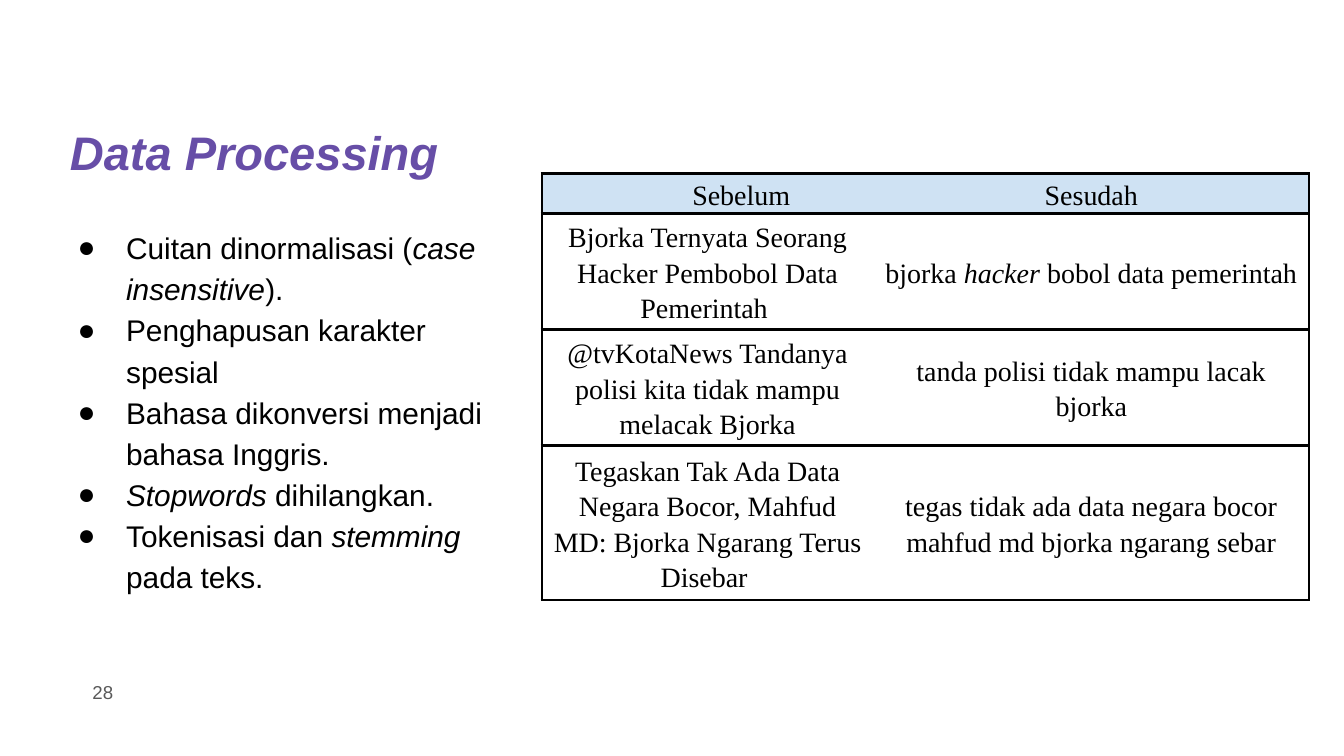
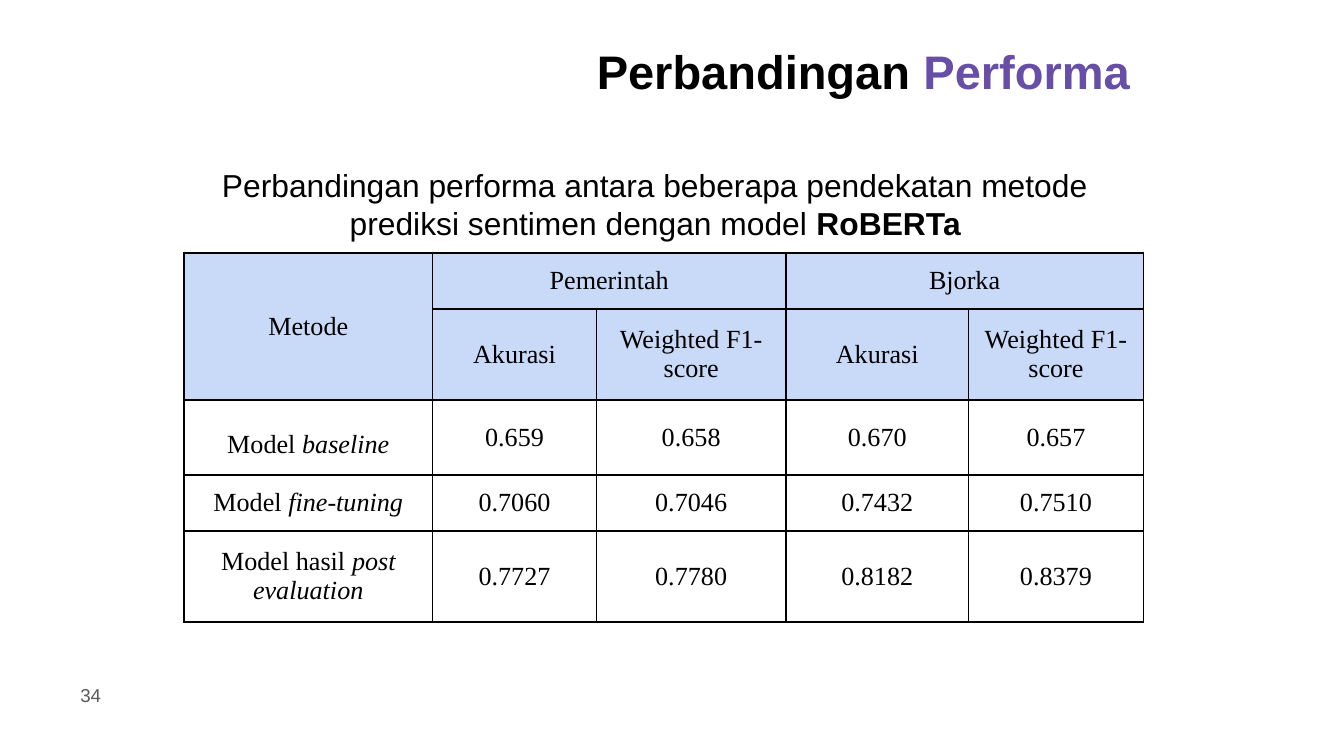
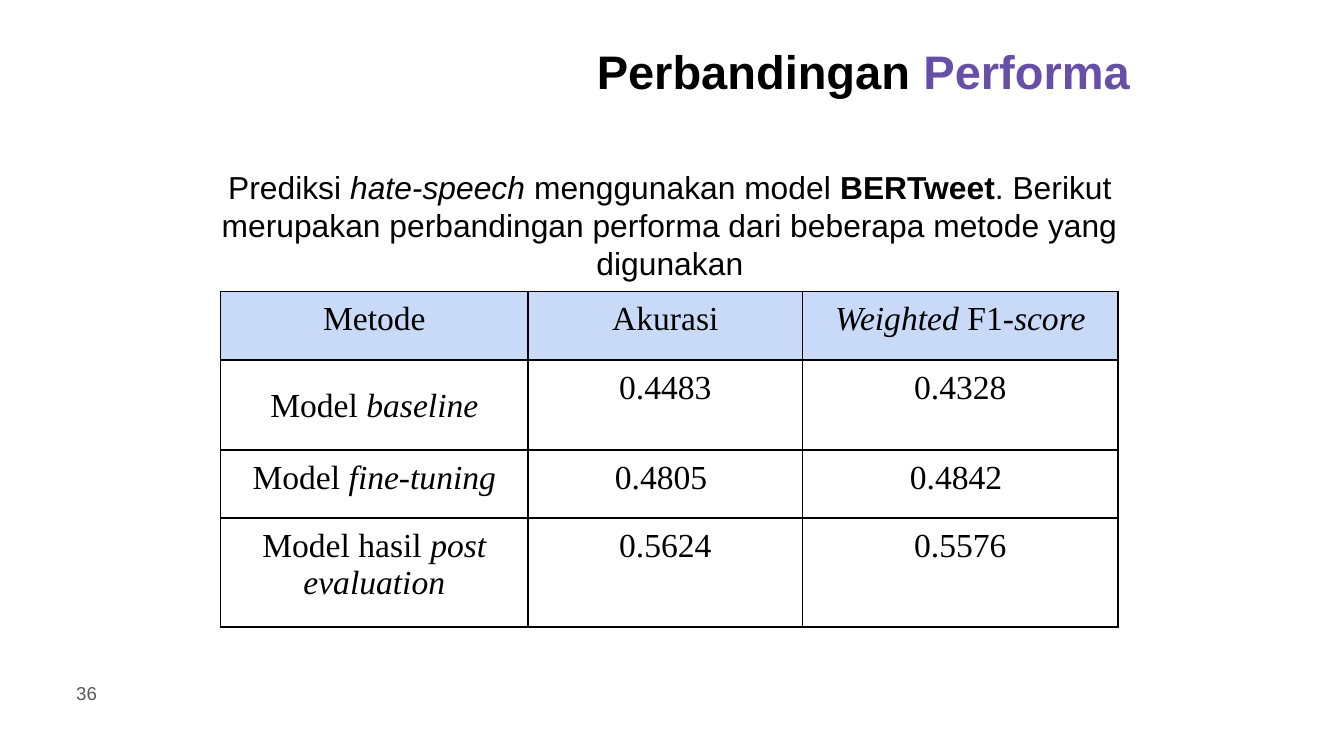
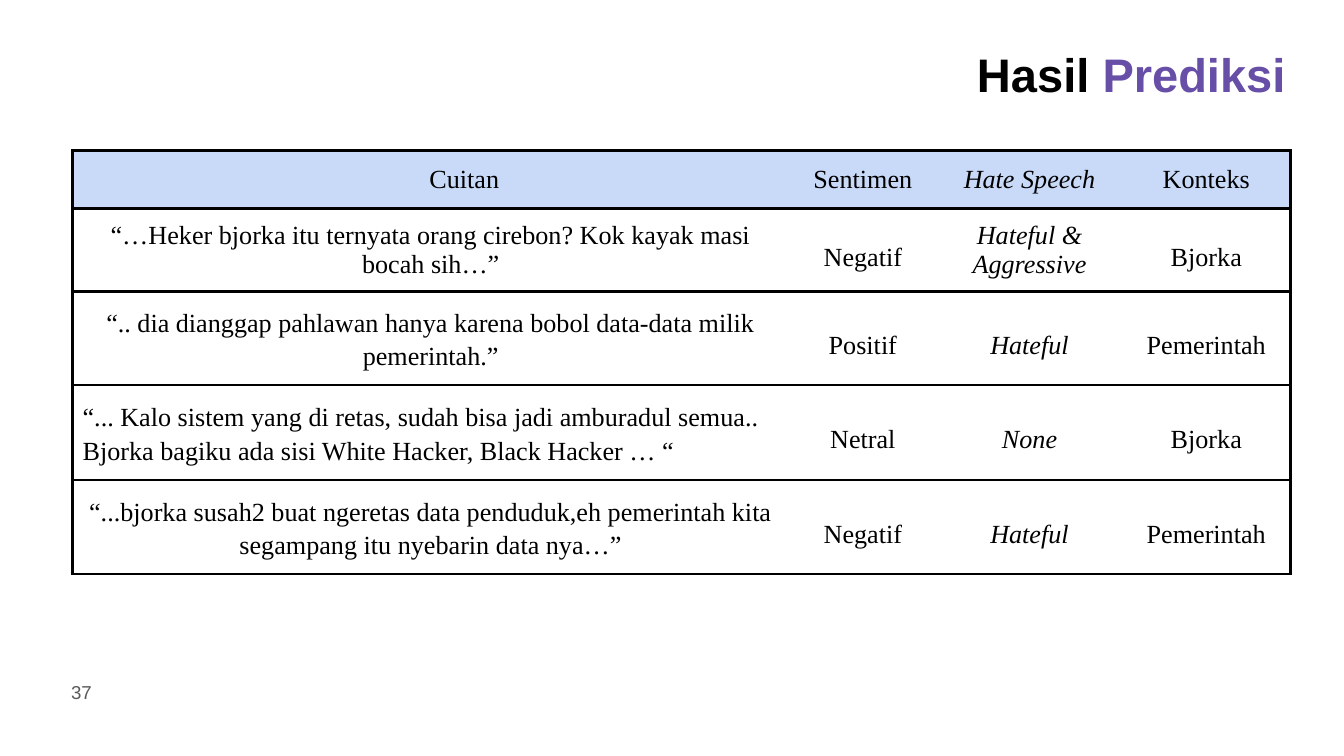
import pptx
import pptx.util
import pptx.dml.color
import pptx.enum.text
import pptx.oxml.ns
from lxml import etree

Pt = pptx.util.Pt
RGBColor = pptx.dml.color.RGBColor
ALIGN = pptx.enum.text.PP_ALIGN
ANCHOR = pptx.enum.text.MSO_ANCHOR
AUTO_SIZE = pptx.enum.text.MSO_AUTO_SIZE
qn = pptx.oxml.ns.qn

BLACK = RGBColor(0, 0, 0)
PURPLE = RGBColor(0x67, 0x4E, 0xA7)
GREY = RGBColor(0x59, 0x59, 0x59)
HEADER_BLUE = RGBColor(0xC9, 0xDA, 0xF8)
PALE_BLUE = RGBColor(0xCF, 0xE2, 0xF3)

SANS = "Arial"
SERIF = "Times New Roman"
TITLE_SIZE = 25.2


def italic(text):
    return text, {"italic": True}


def bold(text):
    return text, {"bold": True}


def write(p, content, size, name, color=BLACK, align=ALIGN.CENTER):
    p.alignment = align
    pieces = content if isinstance(content, list) else [content]
    for piece in pieces:
        text, style = piece if isinstance(piece, tuple) else (piece, {})
        r = p.add_run()
        r.text = text
        r.font.size = Pt(size)
        r.font.name = name
        r.font.bold = style.get("bold", False)
        r.font.italic = style.get("italic", False)
        r.font.color.rgb = style.get("color", color)


def set_margins(tf, margin):
    tf.margin_left = tf.margin_right = Pt(margin)
    tf.margin_top = tf.margin_bottom = Pt(margin)


def add_titled_slide(prs, left, top, width, content):
    s = prs.slides.add_slide(prs.slide_layouts[5])
    sp = s.shapes.title
    sp.left, sp.top, sp.width, sp.height = Pt(left), Pt(top), Pt(width), Pt(45.4)
    tf = sp.text_frame
    tf.word_wrap = True
    tf.auto_size = AUTO_SIZE.NONE
    tf.vertical_anchor = ANCHOR.TOP
    set_margins(tf, 7.2)
    write(tf.paragraphs[0], content, TITLE_SIZE, SANS, align=ALIGN.LEFT)
    return s


def add_text_box(s, left, top, width, height):
    tf = s.shapes.add_textbox(Pt(left), Pt(top), Pt(width), Pt(height)).text_frame
    tf.word_wrap = True
    set_margins(tf, 7.2)
    return tf


def add_page_number(s, left, top, number):
    tf = add_text_box(s, left, top, 43.2, 31)
    tf.vertical_anchor = ANCHOR.MIDDLE
    write(tf.paragraphs[0], number, 10, SANS, GREY, ALIGN.RIGHT)


def add_intro(s, left, top, content):
    tf = add_text_box(s, left, top, 527.8, 76.3)
    p = tf.paragraphs[0]
    p.space_after = Pt(10)
    write(p, content, 17, SANS)


def add_bullets(s, left, top, width, height, items):
    tf = add_text_box(s, left, top, width, height)
    for i, item in enumerate(items):
        p = tf.add_paragraph() if i else tf.paragraphs[0]
        p.line_spacing = 1.15
        pPr = p._p.get_or_add_pPr()
        pPr.set("marL", str(Pt(36)))
        pPr.set("indent", str(Pt(-26)))
        clr = etree.SubElement(pPr, qn("a:buClr"))
        etree.SubElement(clr, qn("a:srgbClr"), val=str(BLACK))
        etree.SubElement(pPr, qn("a:buFont"), typeface=SANS)
        etree.SubElement(pPr, qn("a:buChar"), char="●")
        write(p, item, 16, SANS, align=ALIGN.LEFT)


def set_borders(cell, widths):
    tcPr = cell._tc.get_or_add_tcPr()
    for side, width in widths.items():
        ln = etree.SubElement(tcPr, qn("a:ln" + side), w=str(Pt(width)))
        if width:
            fill = etree.SubElement(ln, qn("a:solidFill"))
            etree.SubElement(fill, qn("a:srgbClr"), val=str(BLACK))
        else:
            etree.SubElement(ln, qn("a:noFill"))


def add_table(s, left, top, widths, heights, rows, size, header_fill, line,
              header_rows=1, merges=(), inner_lines=True, pad=(5, 5),
              anchor=ANCHOR.MIDDLE):
    n_rows, n_cols = len(heights), len(widths)
    tbl = s.shapes.add_table(n_rows, n_cols, Pt(left), Pt(top),
                             Pt(sum(widths)), Pt(sum(heights))).table
    tbl.first_row = tbl.horz_banding = False
    for col, width in zip(tbl.columns, widths):
        col.width = Pt(width)
    for row, height in zip(tbl.rows, heights):
        row.height = Pt(height)
    for i, row in enumerate(rows):
        for j, content in enumerate(row):
            cell = tbl.cell(i, j)
            set_borders(cell, {
                "L": line if inner_lines or j == 0 else 0,
                "R": line if inner_lines or j == n_cols - 1 else 0,
                "T": line,
                "B": line,
            })
            if i < header_rows:
                cell.fill.solid()
                cell.fill.fore_color.rgb = header_fill
            else:
                cell.fill.background()
            cell.margin_left = cell.margin_right = Pt(pad[0])
            cell.margin_top = cell.margin_bottom = Pt(pad[1])
            cell.vertical_anchor = anchor
            if content:
                write(cell.text_frame.paragraphs[0], content, size, SERIF)
    for r1, c1, r2, c2 in merges:
        tbl.cell(r1, c1).merge(tbl.cell(r2, c2))
    return tbl


def cell_paragraph(tbl, i, j):
    return tbl.cell(i, j).text_frame.paragraphs[0]


def indent_first_line(tbl, i, j):
    pPr = cell_paragraph(tbl, i, j)._p.get_or_add_pPr()
    pPr.set("marL", "0")
    pPr.set("indent", str(Pt(36)))


def build_processing(prs):
    s = add_titled_slide(prs, 30.2, 59, 671, [
        ("Data Processing", {"bold": True, "italic": True, "color": PURPLE})])
    add_bullets(s, 24.5, 113, 242, 212.4, [
        ["Cuitan dinormalisasi (", italic("case insensitive"), ")."],
        "Penghapusan karakter spesial",
        "Bahasa dikonversi menjadi bahasa Inggris.",
        [italic("Stopwords"), " dihilangkan."],
        ["Tokenisasi dan ", italic("stemming "), "pada teks."],
    ])
    rows = [
        ["Sebelum", "Sesudah"],
        ["Bjorka Ternyata Seorang Hacker Pembobol Data Pemerintah ",
         ["bjorka ", italic("hacker "), "bobol data pemerintah "]],
        ["@tvKotaNews Tandanya polisi kita tidak mampu melacak Bjorka",
         "tanda polisi tidak mampu lacak bjorka"],
        ["Tegaskan Tak Ada Data Negara Bocor, Mahfud MD: Bjorka Ngarang Terus Disebar ",
         "tegas tidak ada data negara bocor mahfud md bjorka ngarang sebar"],
    ]
    tbl = add_table(s, 290.2, 92.9, [177.8, 233.3], [21.5, 62, 62, 83], rows, 15,
                    PALE_BLUE, 1.5, inner_lines=False, pad=(5.4, 0))
    for i, row in enumerate(rows):
        for j in range(len(row)):
            cell_paragraph(tbl, i, j).line_spacing = 1.15
    indent_first_line(tbl, 0, 0)
    add_page_number(s, 24.5, 355, "28")


def add_performance_slide(prs):
    return add_titled_slide(prs, 312.5, 15.8, 323.3, [
        bold("Perbandingan "), ("Performa", {"bold": True, "color": PURPLE})])


METHODS = [
    ["Model ", italic("baseline")],
    ["Model ", italic("fine-tuning")],
    ["Model hasil ", italic("post evaluation")],
]


def build_sentiment(prs):
    s = add_performance_slide(prs)
    scores = [
        ["0.659", "0.658", "0.670", "0.657"],
        ["0.7060", "0.7046", "0.7432", "0.7510"],
        ["0.7727", "0.7780", "0.8182", "0.8379"],
    ]
    rows = [
        ["Metode", "Pemerintah", None, "Bjorka", None],
        [None] + ["Akurasi", "Weighted F1-score"] * 2,
    ] + [[method] + score for method, score in zip(METHODS, scores)]
    tbl = add_table(s, 98.6, 135.4, [133.2, 87.8, 101.5, 97.9, 93.6],
                    [30, 48.8, 40.2, 30, 48.8], rows, 14, HEADER_BLUE, 1,
                    header_rows=2,
                    merges=[(0, 0, 1, 0), (0, 1, 0, 2), (0, 3, 0, 4)])
    cell_paragraph(tbl, 2, 0).line_spacing = 1.5
    add_intro(s, 87.1, 81.4, [
        "Perbandingan performa antara beberapa pendekatan metode prediksi "
        "sentimen dengan model ", bold("RoBERTa")])
    add_page_number(s, 18, 357.1, "34")


def build_hate_speech(prs):
    s = add_performance_slide(prs)
    add_intro(s, 95, 82.8, [
        "Prediksi ", italic("hate-speech"), " menggunakan model ", bold("BERTweet"),
        ". Berikut merupakan perbandingan performa dari beberapa metode yang digunakan"])
    scores = [["0.4483", "0.4328"], ["0.4805 ", "0.4842 "], ["0.5624", "0.5576"]]
    rows = [["Metode", "Akurasi", [italic("Weighted "), "F1-", italic("score")]]]
    rows += [[method] + score for method, score in zip(METHODS, scores)]
    tbl = add_table(s, 118.1, 156.2, [164.9, 146.9, 169.2],
                    [36.6, 48.3, 36.6, 58.3], rows, 18, HEADER_BLUE, 1,
                    anchor=ANCHOR.TOP)
    cell_paragraph(tbl, 1, 0).line_spacing = 1.5
    add_page_number(s, 15.8, 355.7, "36")


def build_predictions(prs):
    s = add_titled_slide(prs, 516.2, 17.3, 671, [
        bold("Hasil "), ("Prediksi", {"bold": True, "color": PURPLE})])
    rows = [
        ["Cuitan", "Sentimen", italic("Hate Speech"), "Konteks"],
        ["“…Heker bjorka itu ternyata orang cirebon? Kok kayak masi bocah sih…”",
         "Negatif", italic("Hateful & Aggressive"), "Bjorka"],
        ["“.. dia dianggap pahlawan hanya karena bobol data-data milik pemerintah.”",
         "Positif", italic("Hateful"), "Pemerintah"],
        ["“... Kalo sistem yang di retas, sudah bisa jadi amburadul semua.. "
         "Bjorka bagiku ada sisi White Hacker, Black Hacker … “",
         "Netral", italic("None"), "Bjorka"],
        ["“...bjorka susah2 buat ngeretas data penduduk,eh pemerintah kita "
         "segampang itu nyebarin data nya…”",
         "Negatif", italic("Hateful"), "Pemerintah"],
    ]
    tbl = add_table(s, 38.9, 80.6, [383.8, 79.2, 99.4, 90],
                    [31.2, 44.5, 50, 51, 50.3], rows, 14, HEADER_BLUE, 1.5,
                    inner_lines=False, pad=(5.4, 0))
    indent_first_line(tbl, 0, 0)
    for i in range(1, len(rows)):
        for j in range(len(rows[i])):
            cell_paragraph(tbl, i, j).line_spacing = 1.5 if j else 1.15
    for j in (0, 2):
        cell_paragraph(tbl, 1, j).line_spacing = 1.0
    cell_paragraph(tbl, 3, 0).alignment = ALIGN.LEFT
    add_page_number(s, 13, 355, "37")


def main():
    prs = pptx.Presentation()
    prs.slide_width, prs.slide_height = Pt(720), Pt(405)
    build_processing(prs)
    build_sentiment(prs)
    build_hate_speech(prs)
    build_predictions(prs)
    prs.save("out.pptx")


if __name__ == "__main__":
    main()
